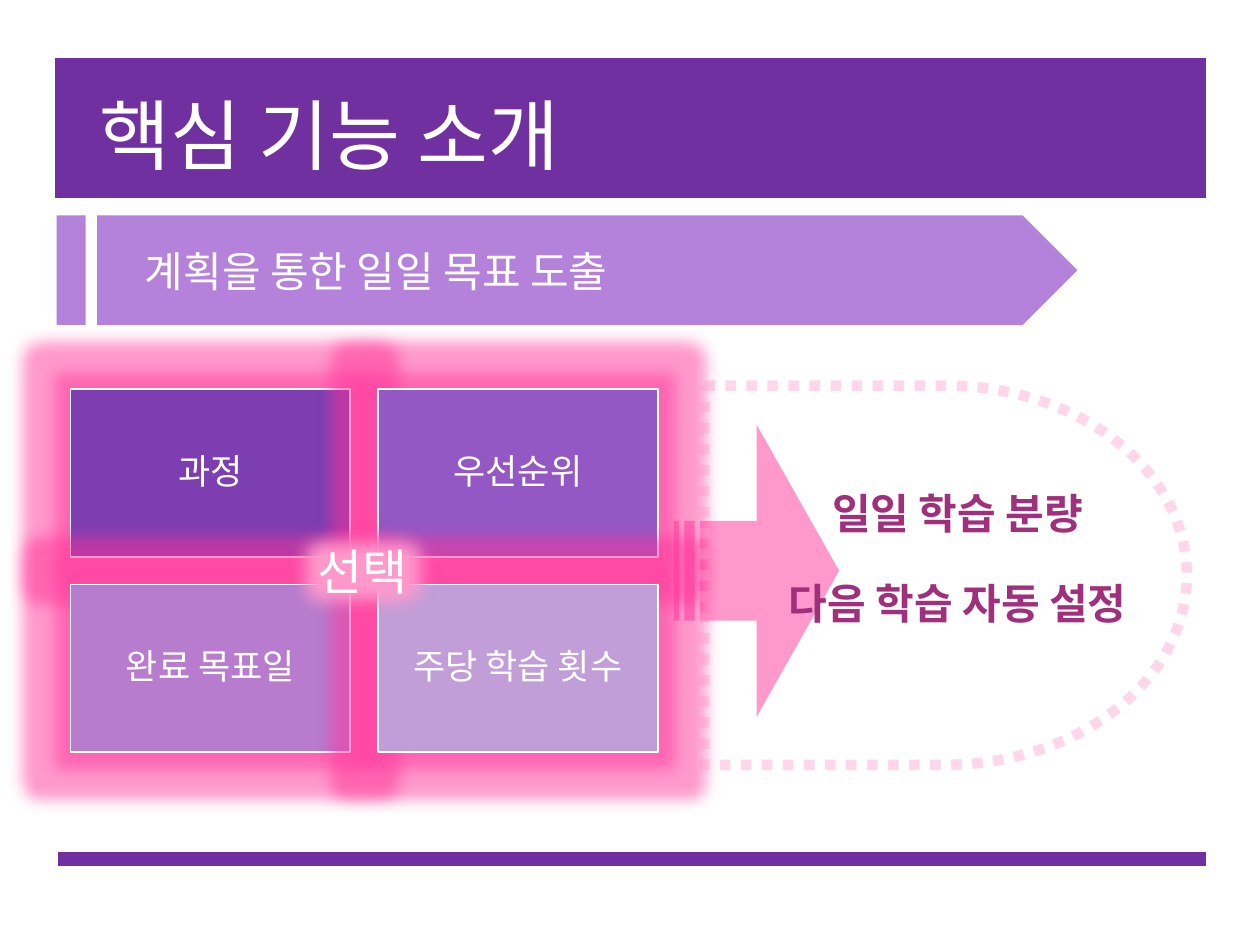
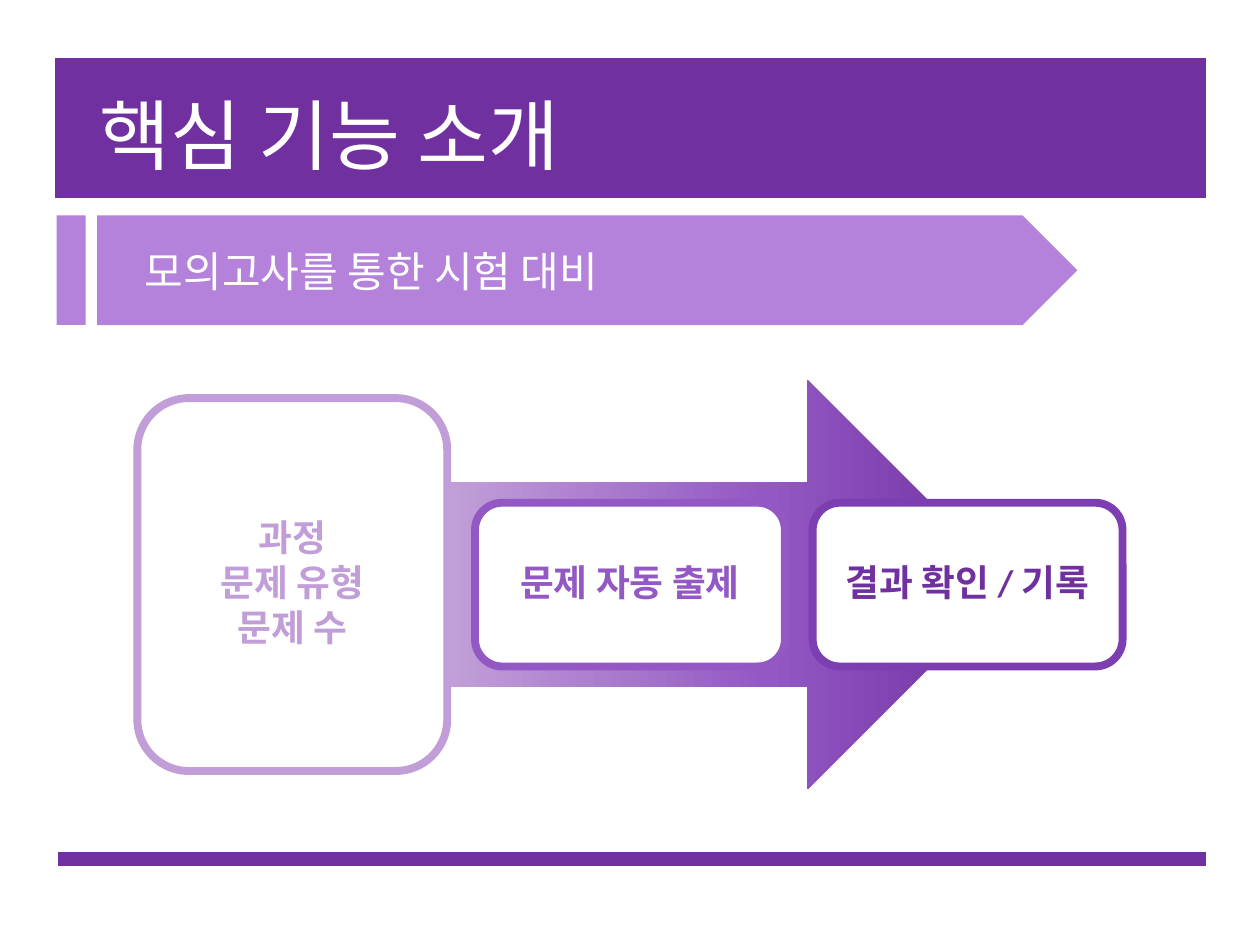
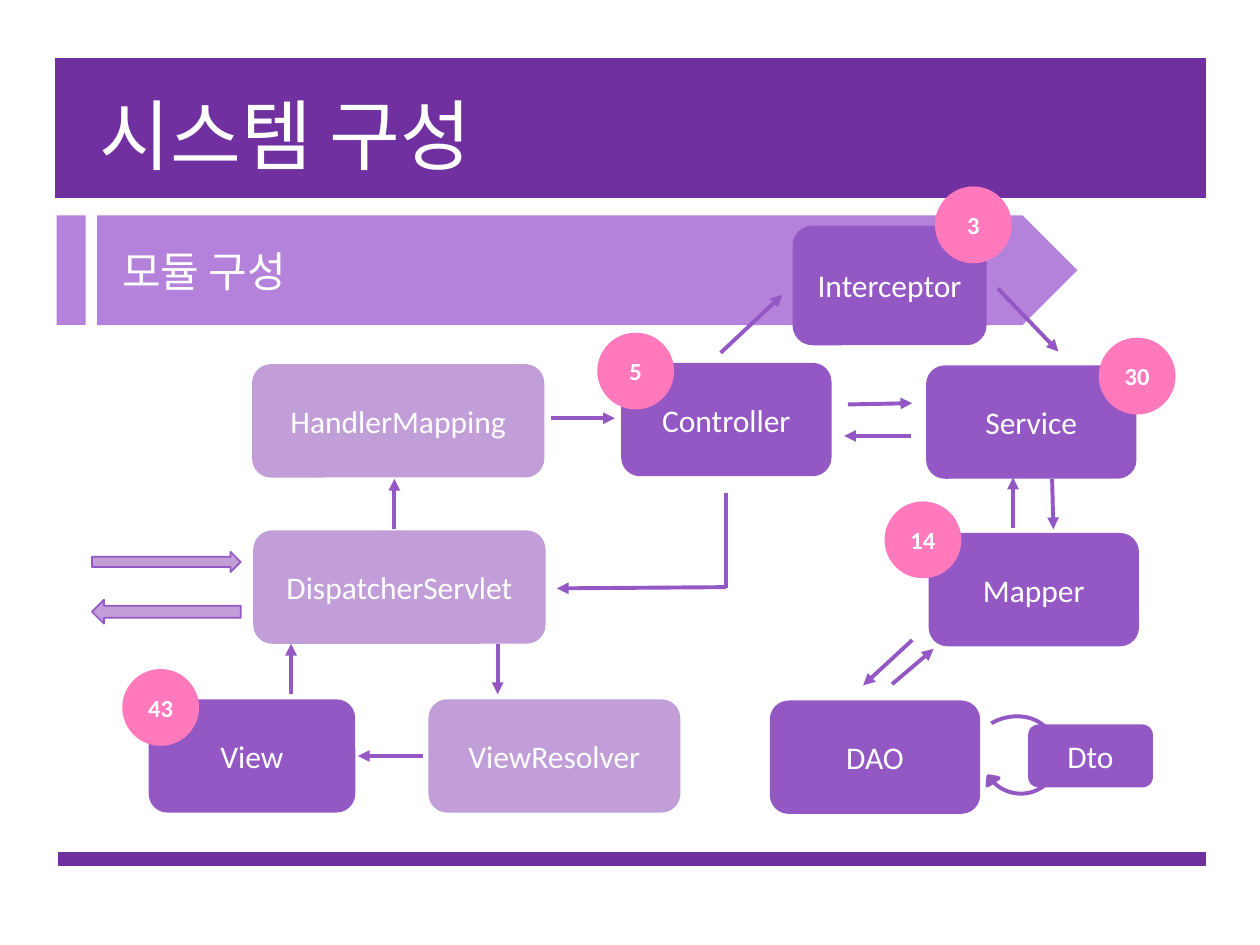
from lxml.etree import SubElement
from pptx import Presentation
from pptx.dml.color import RGBColor
from pptx.enum.dml import MSO_LINE
from pptx.enum.shapes import MSO_CONNECTOR, MSO_SHAPE
from pptx.enum.text import MSO_ANCHOR, PP_ALIGN
from pptx.oxml.ns import qn
from pptx.util import Inches, Pt

FONT = "Calibri"
WHITE = "FFFFFF"
DEEP = "7030A0"
DARK = "7C3EB0"
MID = "9358C4"
PALE = "C19ED8"
LILAC = "B482DA"
ORCHID = "B77CCE"
PLUM = "A0307B"
HOT = "FF3399"
PINK = "FF99CC"
ROSE = "FF79BC"
STOPS = [(0, "F7FAFD"), (36, PALE), (72, MID), (100, DEEP)]


def tint(code):
    return RGBColor.from_string(code)


def assign(target, values):
    for key, value in values.items():
        setattr(target, key, value)


def node(parent, tag, **values):
    return SubElement(parent, qn(tag), {k: str(v) for k, v in values.items()})


def fade(shape, percent):
    for color in shape._element.spPr.iter(qn("a:srgbClr")):
        node(color, "a:alpha", val=percent * 1000)


def stroke(line, color, width):
    line.color.rgb = tint(color)
    line.width = Pt(width)


def place(shape, box):
    assign(shape, dict(zip(("left", "top", "width", "height"), map(Inches, box))))


def write(shape, lines, size, color=WHITE, bold=False, align=PP_ALIGN.CENTER,
          inset=0.1, para=None):
    frame = shape.text_frame
    assign(frame, {"word_wrap": True, "vertical_anchor": MSO_ANCHOR.MIDDLE,
                   "margin_left": Inches(inset)})
    frame.text = "\n".join(lines)
    for item in frame.paragraphs:
        assign(item, {"alignment": align, **(para or {})})
        for run in item.runs:
            assign(run.font, {"name": FONT, "size": Pt(size), "bold": bold})
            run.font.color.rgb = tint(color)


def draw(slide, kind, box, fill=None, line=None, width=1, turn=0, adjust=()):
    shape = slide.shapes.add_shape(kind, *map(Inches, box))
    shape.shadow.inherit = False
    shape.rotation = turn
    for index, value in enumerate(adjust):
        shape.adjustments[index] = value
    if fill:
        shape.fill.solid()
        shape.fill.fore_color.rgb = tint(fill)
    else:
        shape.fill.background()
    if line:
        stroke(shape.line, line, width)
    else:
        shape.line.fill.background()
    return shape


def link(slide, start, end, color=MID, width=2.25, head=True):
    line = slide.shapes.add_connector(MSO_CONNECTOR.STRAIGHT, *map(Inches, start + end))
    stroke(line.line, color, width)
    if head:
        node(line.line._get_or_add_ln(), "a:tailEnd", type="triangle")
    node(line._element.spPr, "a:effectLst")


def glow(shape, color, points, percent):
    effects = shape._element.spPr.find(qn("a:effectLst"))
    halo = node(effects, "a:glow", rad=Pt(points))
    node(node(halo, "a:srgbClr", val=color), "a:alpha", val=percent * 1000)


def blur(shape, points):
    effects = shape._element.spPr.find(qn("a:effectLst"))
    node(effects, "a:softEdge", rad=Pt(points))


def blend(shape, stops):
    shape.fill.gradient()
    shape.fill.gradient_angle = 0
    chain = shape._element.spPr.find(qn("a:gradFill")).find(qn("a:gsLst"))
    for old in list(chain):
        chain.remove(old)
    for spot, color in stops:
        node(node(chain, "a:gs", pos=spot * 1000), "a:srgbClr", val=color)


def start(deck, title, topic, inset=0.38):
    slide = deck.slides.add_slide(deck.slide_layouts[5])
    slide.background.fill.solid()
    slide.background.fill.fore_color.rgb = tint(WHITE)
    link(slide, (0.44, 1.02), (9.57, 1.02), DEEP, 80, False)
    link(slide, (0.46, 6.82), (9.57, 6.82), DEEP, 8, False)
    head = slide.shapes.title
    place(head, (0.69, 0.65, 8.62, 0.92))
    write(head, [title], 44, align=PP_ALIGN.LEFT, para={"line_spacing": 0.9})
    slide.shapes._spTree.append(head._element)
    flag = draw(slide, MSO_SHAPE.PENTAGON, (0.77, 1.71, 7.78, 0.87), LILAC)
    write(flag, [topic], 24, align=PP_ALIGN.LEFT, inset=inset)
    draw(slide, MSO_SHAPE.RECTANGLE, (0.45, 1.71, 0.23, 0.87), LILAC)
    return slide


def goals(deck):
    slide = start(deck, "핵심 기능 소개", "계획을 통한 일일 목표 도출")
    tiles = [("과정", DARK), ("우선순위", MID), ("완료 목표일", ORCHID),
             ("주당 학습 횟수", PALE)]
    for index, (text, color) in enumerate(tiles):
        row, col = divmod(index, 2)
        box = (0.56 + 2.44 * col, 3.09 + 1.55 * row, 2.22, 1.33)
        tile = draw(slide, MSO_SHAPE.RECTANGLE, box, color, WHITE)
        glow(tile, HOT, 18, 50)
        write(tile, [text], 20, para={"line_spacing": 0.9})

    arrow = draw(slide, MSO_SHAPE.STRIPED_RIGHT_ARROW, (5.35, 3.37, 1.31, 2.32),
                 HOT, adjust=(0.341, 0.5))
    fade(arrow, 50)
    note = slide.shapes.add_textbox(*map(Inches, (6.04, 3.77, 3.12, 1.31)))
    write(note, ["일일 학습 분량", "다음 학습 자동 설정"], 24, PLUM, True)
    note.text_frame.paragraphs[1].space_before = Pt(23)
    pick = draw(slide, MSO_SHAPE.ROUNDED_RECTANGLE, (2.29, 4.16, 1.18, 0.75), PINK)
    blur(pick, 10)
    write(pick, ["선택"], 28)
    frame = draw(slide, MSO_SHAPE.FLOWCHART_DELAY, (5.59, 3.06, 3.83, 3.01),
                 line=PINK, width=6)
    frame.line.dash_style = MSO_LINE.ROUND_DOT
    fade(frame, 40)


def exam(deck):
    slide = start(deck, "핵심 기능 소개", "모의고사를 통한 시험 대비")
    arrow = draw(slide, MSO_SHAPE.RIGHT_ARROW, (1.06, 3.02, 6.97, 3.24), PALE)
    blend(arrow, STOPS)
    steps = [(["과정", "문제 유형", "문제 수"], 2.96, PALE, PALE),
             (["문제 자동 출제"], 1.3, MID, MID),
             (["결과 확인 / 기록"], 1.3, DARK, DEEP)]
    for index, (lines, height, edge, color) in enumerate(steps):
        box = (1.09 + 2.68 * index, 4.64 - height / 2, 2.46, height)
        card = draw(slide, MSO_SHAPE.ROUNDED_RECTANGLE, box, WHITE, edge, 4.5)
        write(card, lines, 21, color, True,
              para={"line_spacing": 0.9, "space_after": Pt(3)})


def system(deck):
    slide = start(deck, "시스템 구성", "모듈 구성", 0.2)
    draw(slide, MSO_SHAPE.ARC, (7.65, 5.7, 0.74, 0.62), None, MID, 2.25, 330.6)
    draw(slide, MSO_SHAPE.CURVED_DOWN_ARROW, (7.83, 5.98, 0.66, 0.31), MID, MID,
         2.25, 146.1, (0, 0.347, 0.185))
    links = [((3.36, 6), (2.84, 6)), ((2.31, 5.51), (2.31, 5.11)),
             ((3.95, 5.11), (3.95, 5.51)), ((3.13, 4.2), (3.13, 3.8)),
             ((4.37, 3.32), (4.88, 3.32)), ((5.76, 4.66), (4.42, 4.67)),
             ((7.23, 3.46), (6.7, 3.46)), ((5.72, 2.8), (6.21, 2.34)),
             ((7.92, 2.29), (8.4, 2.79)), ((6.73, 3.21), (7.24, 3.2)),
             ((8.04, 4.19), (8.04, 3.79)), ((8.35, 3.8), (8.36, 4.2)),
             ((7.24, 5.08), (6.85, 5.44)), ((7.08, 5.43), (7.41, 5.15))]
    parts = [("HandlerMapping", (2, 2.89, 2.32, 0.9), PALE),
             ("Controller", (4.93, 2.88, 1.67, 0.9), MID),
             ("DispatcherServlet", (2.01, 4.21, 2.32, 0.9), PALE),
             ("View", (1.18, 5.55, 1.64, 0.9), MID),
             ("ViewResolver", (3.4, 5.55, 2, 0.9), PALE),
             ("Service", (7.35, 2.9, 1.67, 0.9), MID),
             ("DAO", (6.11, 5.56, 1.67, 0.9), MID),
             ("Dto", (8.16, 5.75, 0.99, 0.5), MID),
             ("Mapper", (7.37, 4.23, 1.67, 0.9), MID),
             ("Interceptor", (6.29, 1.79, 1.54, 0.95), MID)]
    for text, box, color in parts:
        write(draw(slide, MSO_SHAPE.ROUNDED_RECTANGLE, box, color), [text], 18)
    for first, last in links:
        link(slide, first, last)
    link(slide, (5.76, 3.91), (5.76, 4.67), head=False)
    for top, height, turn in [(4.38, 0.16, 0), (4.76, 0.19, 180)]:
        draw(slide, MSO_SHAPE.RIGHT_ARROW, (0.73, top, 1.18, height), PALE, MID,
             turn=turn)
    counts = [("3", 7.42, 1.48), ("14", 7.02, 3.98), ("5", 4.74, 2.64),
              ("30", 8.72, 2.68), ("43", 0.97, 5.31)]
    for text, left, top in counts:
        dot = draw(slide, MSO_SHAPE.OVAL, (left, top, 0.61, 0.61), ROSE)
        write(dot, [text], 14, bold=True)


def main():
    deck = Presentation()
    assign(deck, {"slide_width": Inches(10), "slide_height": Inches(7.5)})
    goals(deck)
    exam(deck)
    system(deck)
    deck.save("out.pptx")


if __name__ == "__main__":
    main()
